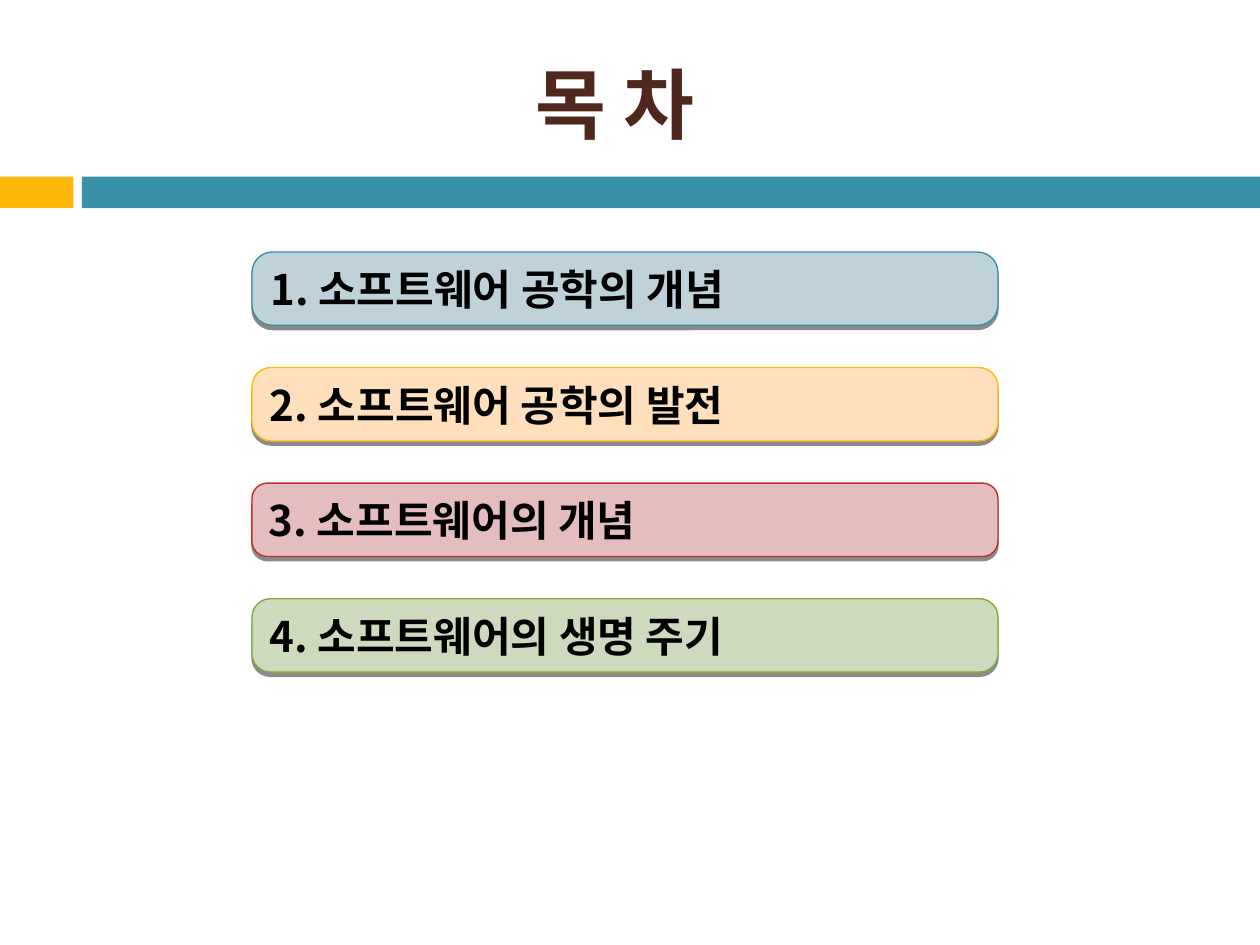
from lxml.etree import SubElement
from pptx import Presentation
from pptx.dml.color import RGBColor
from pptx.enum.shapes import MSO_SHAPE as Shape
from pptx.enum.text import MSO_ANCHOR as Anchor, PP_ALIGN as Align
from pptx.oxml.ns import qn
from pptx.util import Cm, Pt

FONT = "Noto Sans CJK KR"
BLACK = RGBColor(0x00, 0x00, 0x00)
BROWN = RGBColor(0x4F, 0x27, 0x1C)
TEAL = RGBColor(0x38, 0x91, 0xA7)
AMBER = RGBColor(0xFE, 0xB8, 0x0A)
RED = RGBColor(0xC3, 0x2D, 0x2E)
GREEN = RGBColor(0x84, 0xAA, 0x33)
PALE_TEAL = RGBColor(0xBF, 0xD2, 0xD9)
PALE_AMBER = RGBColor(0xFF, 0xDF, 0xBC)
PALE_RED = RGBColor(0xE4, 0xBE, 0xBE)
PALE_GREEN = RGBColor(0xCE, 0xDA, 0xBE)

# Chapter text, fill, outline, corner rounding
CHAPTERS = [
    ("1. 소프트웨어 공학의 개념", PALE_TEAL, TEAL, 0.28),
    ("2. 소프트웨어 공학의 발전", PALE_AMBER, AMBER, 0.26),
    ("3. 소프트웨어의 개념", PALE_RED, RED, 0.21),
    ("4. 소프트웨어의 생명 주기", PALE_GREEN, GREEN, 0.25),
]
CHAPTER_TOP = 5.08
CHAPTER_PITCH = 2.33


def write(frame, text, size, color, align):
    frame.text = text
    frame.vertical_anchor = Anchor.MIDDLE
    frame.word_wrap = True
    paragraph = frame.paragraphs[0]
    paragraph.alignment = align
    for run in paragraph.runs:
        run.font.size = Pt(size)
        run.font.bold = True
        run.font.name = FONT
        run.font.color.rgb = color
        # Korean glyphs take the East Asian typeface
        SubElement(run.font._element, qn("a:ea"), typeface=FONT)


def add_title(slide, text):
    title = slide.shapes.title
    title.left, title.top = Cm(1.07), Cm(0.71)
    title.width, title.height = Cm(22.66), Cm(2.74)
    write(title.text_frame, text, 44, BROWN, Align.CENTER)


def add_band(slide, left, width, color):
    band = slide.shapes.add_shape(
        Shape.RECTANGLE, Cm(left), Cm(3.56), Cm(width), Cm(0.64))
    band.shadow.inherit = False
    band.fill.solid()
    band.fill.fore_color.rgb = color
    band.line.fill.background()


def add_drop_shadow(shape):
    shape.shadow.inherit = False
    effects = shape._element.spPr.find(qn("a:effectLst"))
    shadow = SubElement(effects, qn("a:outerShdw"), blurRad="0",
                        dist=str(Pt(2.4)), dir="5400000", rotWithShape="0")
    color = SubElement(shadow, qn("a:srgbClr"), val=str(BLACK))
    SubElement(color, qn("a:alpha"), val="45000")


def add_chapter(slide, top, text, fill, outline, rounding):
    chapter = slide.shapes.add_shape(
        Shape.ROUNDED_RECTANGLE, Cm(5.08), Cm(top), Cm(15.04), Cm(1.48))
    chapter.adjustments[0] = rounding
    chapter.fill.solid()
    chapter.fill.fore_color.rgb = fill
    chapter.line.color.rgb = outline
    chapter.line.width = Pt(0.79)
    add_drop_shadow(chapter)
    write(chapter.text_frame, text, 24, BLACK, Align.LEFT)


def main():
    prs = Presentation()
    prs.slide_width, prs.slide_height = Cm(25.4), Cm(19.05)
    slide = prs.slides.add_slide(prs.slide_layouts[5])

    # Two-colour band under the title
    add_band(slide, 0, 1.48, AMBER)
    add_band(slide, 1.65, 23.75, TEAL)
    add_title(slide, "목 차")

    # Table of contents
    for row, chapter in enumerate(CHAPTERS):
        add_chapter(slide, CHAPTER_TOP + row * CHAPTER_PITCH, *chapter)

    prs.save("out.pptx")


if __name__ == "__main__":
    main()
